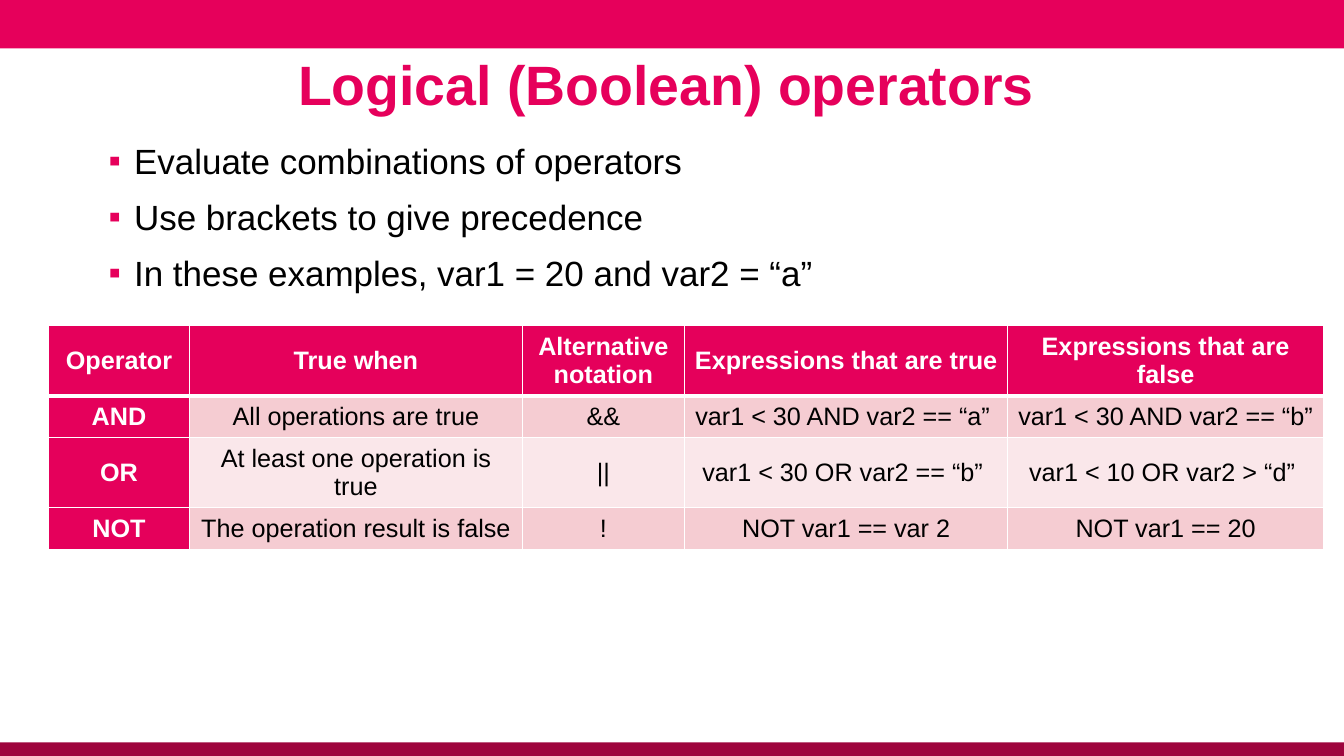
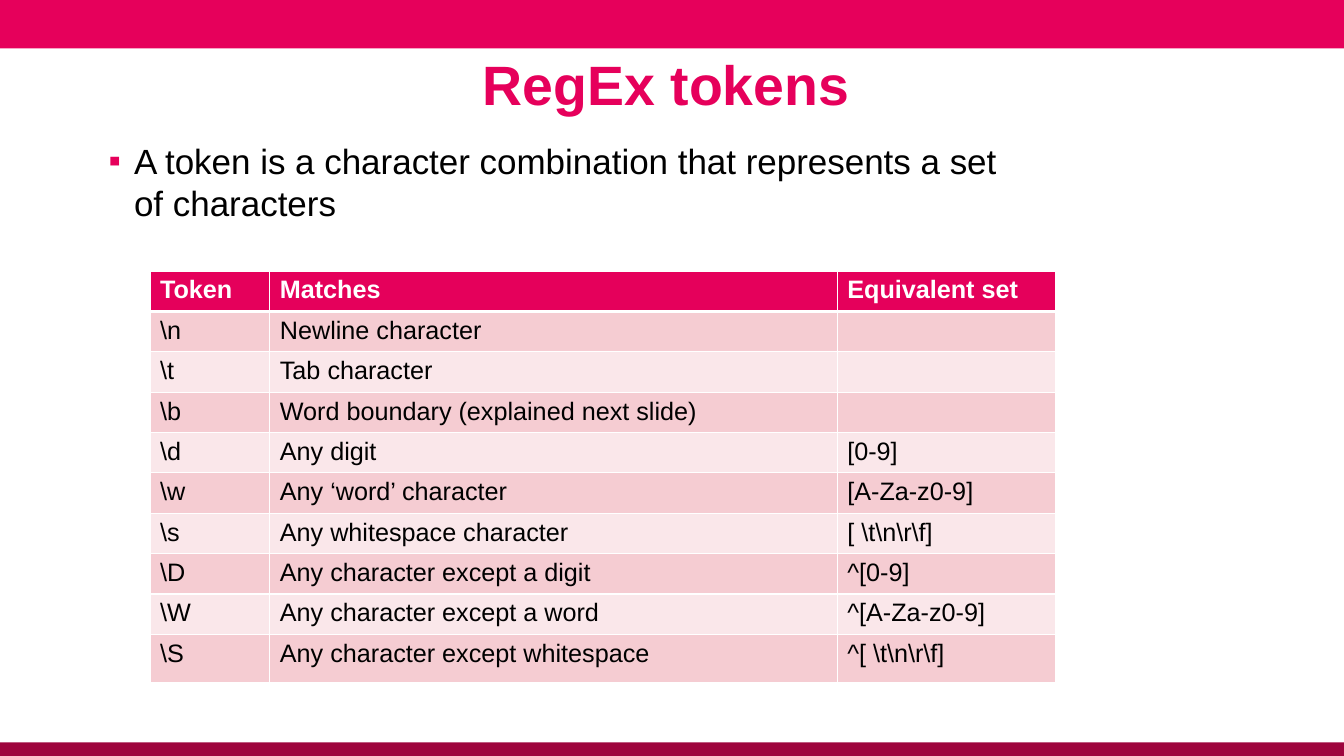
from dataclasses import dataclass
from lxml.etree import SubElement
from pptx import Presentation
from pptx.dml.color import RGBColor
from pptx.enum.shapes import MSO_SHAPE
from pptx.enum.text import MSO_ANCHOR, PP_ALIGN
from pptx.oxml.ns import qn
from pptx.util import Cm, Pt

# Content: body and table boxes are in centimetres
SLIDES = [
    {
        "title": "Logical (Boolean) operators",
        "bullets": [
            "Evaluate combinations of operators",
            "Use brackets to give precedence",
            "In these examples, var1 = 20 and var2 = “a”",
        ],
        "body_size": (29.62, 14.27),
        "table": {
            "origin": (1.22, 8.2),
            "columns": [3.56, 8.38, 4.09, 8.15, 7.95],
            "rows": [1.04] * 4,
            "centered": True,
            "row_headers": True,
            "cells": [
                ("Operator", "True when", "Alternative notation",
                 "Expressions that are true", "Expressions that are false"),
                ("AND", "All operations are true", "&&",
                 "var1 < 30 AND var2 == “a” ", "var1 < 30 AND var2 == “b” "),
                ("OR", "At least one operation is true", "||",
                 "var1 < 30 OR var2 == “b” ", "var1 < 10 OR var2 > “d” "),
                ("NOT", "The operation result is false", "!",
                 "NOT var1 == var 2", "NOT var1 == 20"),
            ],
        },
    },
    {
        "title": "RegEx tokens",
        "bullets": ["A token is a character combination that represents a set of characters"],
        "body_size": (22.83, 2.44),
        "table": {
            "origin": (3.78, 6.83),
            "columns": [3.02, 14.3, 5.51],
            "rows": [0.79] * 9 + [1.22],
            "centered": False,
            "row_headers": False,
            "cells": [
                ("Token", "Matches", "Equivalent set"),
                (r"\n", "Newline character", ""),
                (r"\t", "Tab character", ""),
                (r"\b", "Word boundary (explained next slide)", ""),
                (r"\d", "Any digit", "[0-9]"),
                (r"\w", "Any ‘word’ character", "[A-Za-z0-9]"),
                (r"\s", "Any whitespace character", r"[ \t\n\r\f]"),
                (r"\D", "Any character except a digit", "^[0-9]"),
                (r"\W", "Any character except a word", "^[A-Za-z0-9]"),
                (r"\S", "Any character except whitespace", r"^[ \t\n\r\f]"),
            ],
        },
    },
]


@dataclass(frozen=True)
class Theme:
    font: str = "Arial"
    accent: str = "E6005B"
    footer: str = "9E043D"
    header_cell: str = "E5005B"
    row_bands: tuple = ("F5CCD2", "FAE7EA")
    light: str = "FFFFFF"
    dark: str = "000000"
    title_size: float = 39.6
    body_size: float = 25
    table_size: float = 18
    thin_line: float = 1
    thick_line: float = 3


THEME = Theme()
WIDTH, HEIGHT = 33.87, 19.05
TOP_BAND, FOOTER_BAND = 1.22, 0.34
TITLE_BOX = (1.22, 1.24, 31.39, 1.91)
BODY_ORIGIN = (2.74, 3.4)
BULLET_INDENT = 0.64


def write_text(paragraph, text, *, size, color, bold=False, align=PP_ALIGN.LEFT):
    paragraph.alignment = align
    if not text:
        return
    run = paragraph.add_run()
    run.text = text
    run.font.name = THEME.font
    run.font.size = Pt(size)
    run.font.bold = bold
    run.font.color.rgb = RGBColor.from_string(color)


def add_band(slide, top, height, color):
    band = slide.shapes.add_shape(MSO_SHAPE.RECTANGLE, 0, Cm(top), Cm(WIDTH), Cm(height))
    band.shadow.inherit = False
    band.fill.solid()
    band.fill.fore_color.rgb = RGBColor.from_string(color)
    band.line.fill.background()


def add_text_frame(slide, box, anchor):
    frame = slide.shapes.add_textbox(*map(Cm, box)).text_frame
    frame.word_wrap = True
    frame.vertical_anchor = anchor
    frame.margin_left = 0
    return frame


def add_title(slide, title):
    paragraph = add_text_frame(slide, TITLE_BOX, MSO_ANCHOR.MIDDLE).paragraphs[0]
    paragraph.line_spacing = 0.9
    write_text(paragraph, title, size=THEME.title_size, color=THEME.accent,
               bold=True, align=PP_ALIGN.CENTER)


def add_bullets(slide, bullets, size):
    frame = add_text_frame(slide, BODY_ORIGIN + size, MSO_ANCHOR.TOP)
    for index, text in enumerate(bullets):
        paragraph = frame.add_paragraph() if index else frame.paragraphs[0]
        write_text(paragraph, text, size=THEME.body_size, color=THEME.dark)
        paragraph.space_before = Pt(10)
        properties = paragraph._p.get_or_add_pPr()
        properties.set("marL", str(Cm(BULLET_INDENT)))
        properties.set("indent", str(-Cm(BULLET_INDENT)))
        bullet_color = SubElement(properties, qn("a:buClr"))
        SubElement(bullet_color, qn("a:srgbClr"), val=THEME.accent)
        SubElement(properties, qn("a:buFont"), typeface=THEME.font)
        SubElement(properties, qn("a:buChar"), char="▪")


def set_borders(cell, row):
    """Thin white lines, with a thick one between the header and the first row."""
    widths = {
        "L": THEME.thin_line,
        "R": THEME.thin_line,
        "T": THEME.thick_line if row == 1 else THEME.thin_line,
        "B": THEME.thick_line if row == 0 else THEME.thin_line,
    }
    properties = cell._tc.get_or_add_tcPr()
    for side, width in widths.items():
        line = SubElement(properties, qn(f"a:ln{side}"), w=str(Pt(width)))
        fill = SubElement(line, qn("a:solidFill"))
        SubElement(fill, qn("a:srgbClr"), val=THEME.light)


def add_data_table(slide, data):
    columns, rows = data["columns"], data["rows"]
    box = (*data["origin"], sum(columns), sum(rows))
    table = slide.shapes.add_table(len(rows), len(columns), *map(Cm, box)).table
    table.horz_banding = False
    table.first_col = data["row_headers"]
    for column, width in zip(table.columns, columns):
        column.width = Cm(width)
    for row, height in zip(table.rows, rows):
        row.height = Cm(height)

    centered = data["centered"]
    for row, texts in enumerate(data["cells"]):
        for column, text in enumerate(texts):
            cell = table.cell(row, column)
            is_header = row == 0 or (data["row_headers"] and column == 0)
            set_borders(cell, row)
            cell.fill.solid()
            cell.fill.fore_color.rgb = RGBColor.from_string(
                THEME.header_cell if is_header else THEME.row_bands[(row - 1) % 2])
            cell.vertical_anchor = MSO_ANCHOR.MIDDLE if centered else MSO_ANCHOR.TOP
            write_text(cell.text_frame.paragraphs[0], text, size=THEME.table_size,
                       color=THEME.light if is_header else THEME.dark, bold=is_header,
                       align=PP_ALIGN.CENTER if centered else PP_ALIGN.LEFT)


# Build the slides
presentation = Presentation()
presentation.slide_width, presentation.slide_height = Cm(WIDTH), Cm(HEIGHT)
for content in SLIDES:
    slide = presentation.slides.add_slide(presentation.slide_layouts[6])
    add_band(slide, 0, TOP_BAND, THEME.accent)
    add_band(slide, HEIGHT - FOOTER_BAND, FOOTER_BAND, THEME.footer)
    add_title(slide, content["title"])
    add_bullets(slide, content["bullets"], content["body_size"])
    add_data_table(slide, content["table"])
presentation.save("out.pptx")
